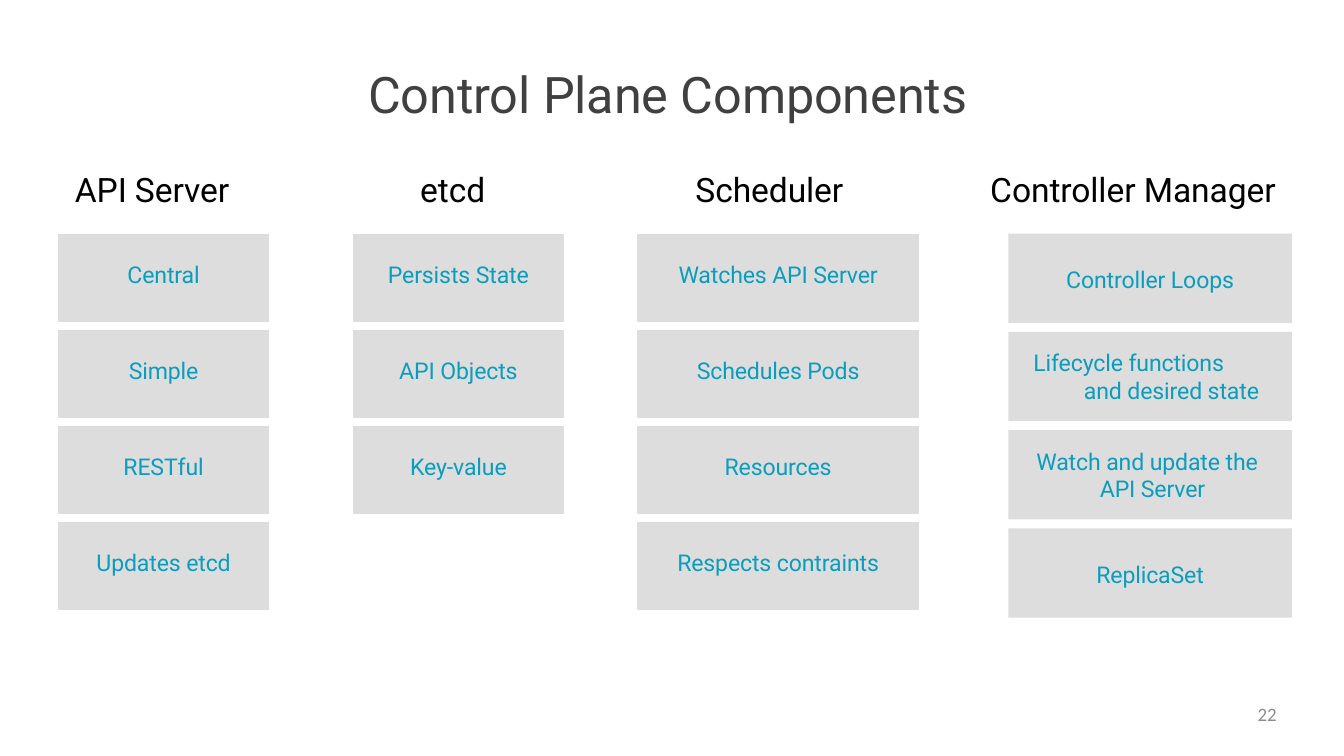
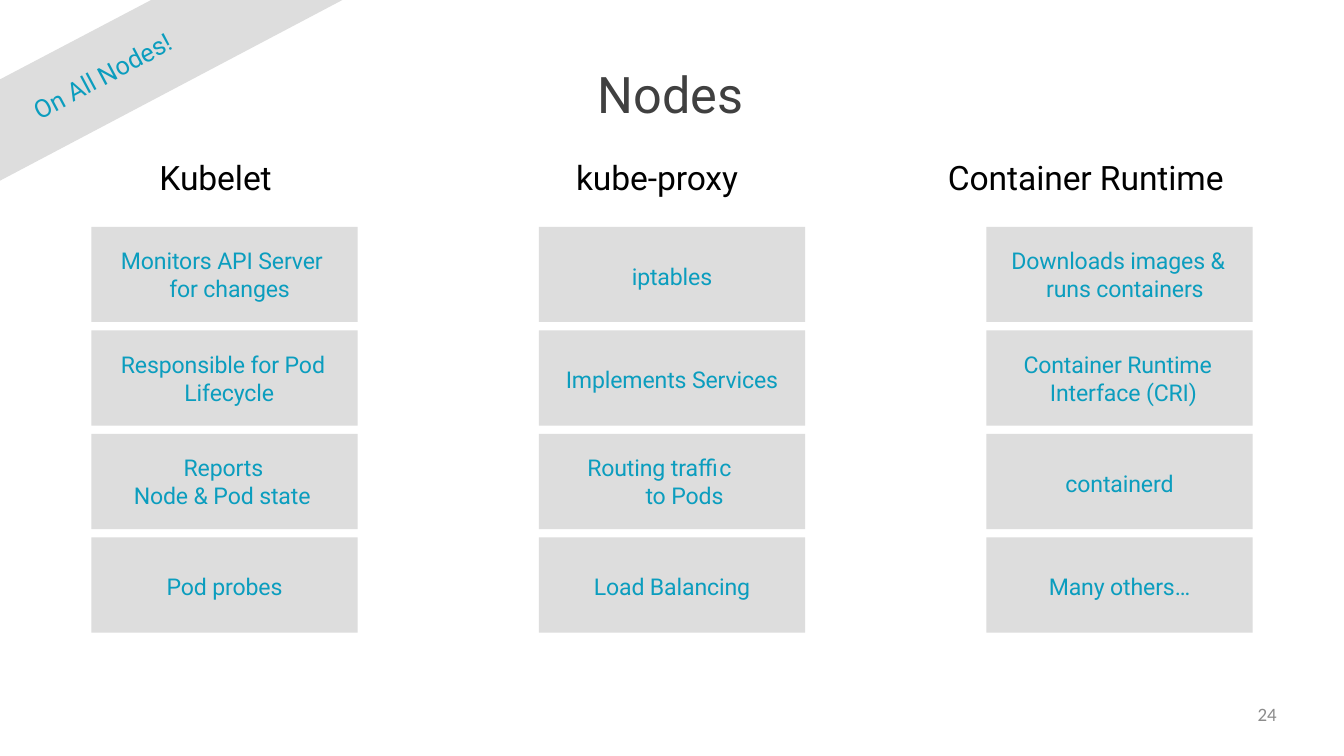
from pptx import Presentation
from pptx.dml.color import RGBColor
from pptx.enum.shapes import MSO_SHAPE
from pptx.enum.text import MSO_ANCHOR, MSO_AUTO_SIZE, PP_ALIGN
from pptx.oxml.xmlchemy import OxmlElement
from pptx.util import Inches, Pt

# Shared look
GRAY, TEAL, BLACK = "DDDDDD", "0B9DBE", "000000"
TITLE_COLOR, NUMBER_COLOR = "404040", "8C8C8C"
FONT, NUMBER_FONT = "Roboto", "Calibri"
CARD_SIZE = 22
TITLE_ONLY = 5


def color(hex_value):
    return RGBColor.from_string(hex_value)


def inches(*lengths):
    return [Inches(length) for length in lengths]


def add_run(para, text, size, hex_value, font=FONT, spacing=-10):
    span = para.add_run()
    span.text = text
    span.font.size = Pt(size)
    span.font.name = font
    span.font.color.rgb = color(hex_value)
    # Letter spacing, in hundredths of a point
    span.font._element.set("spc", str(spacing))


def prepare_frame(frame, anchor=MSO_ANCHOR.TOP, wrap=False, top=0.01):
    frame.auto_size = MSO_AUTO_SIZE.NONE
    frame.word_wrap = wrap
    frame.vertical_anchor = anchor
    frame.margin_left = frame.margin_right = frame.margin_bottom = 0
    frame.margin_top = Inches(top)
    return frame.paragraphs[0]


def add_title(page, text, left, width):
    title = page.shapes.title
    title.left, title.top, title.width, title.height = inches(left, 0.82, width, 0.83)
    para = prepare_frame(title.text_frame)
    para.alignment = PP_ALIGN.LEFT
    add_run(para, text, 48, TITLE_COLOR)


def add_heading(page, text, left, top, width):
    box = page.shapes.add_textbox(*inches(left, top, width, 0.56))
    add_run(prepare_frame(box.text_frame), text, 32, BLACK)


def add_page_number(page, number):
    box = page.shapes.add_textbox(*inches(12.8, 9.3, 4.09, 0.5))
    para = prepare_frame(box.text_frame, wrap=True, top=0)
    para.alignment = PP_ALIGN.RIGHT
    add_run(para, str(number), 18, NUMBER_COLOR, NUMBER_FONT, 0)


def set_indent(para, first, rest):
    """Start the first line and the following lines at their own offsets."""
    properties = para._p.get_or_add_pPr()
    properties.set("marL", str(Inches(rest)))
    properties.set("indent", str(Inches(first) - Inches(rest)))


def add_card(page, content, left, top, width, height):
    """Content is one centred line, or two lines followed by their offsets."""
    card = page.shapes.add_shape(MSO_SHAPE.RECTANGLE, *inches(left, top, width, height))
    card.shadow.inherit = False
    card.fill.solid()
    card.fill.fore_color.rgb = color(GRAY)
    card.line.fill.background()
    single = isinstance(content, str)
    para = prepare_frame(card.text_frame, MSO_ANCHOR.MIDDLE, True, 0.04 if single else 0)
    if single:
        para.alignment = PP_ALIGN.CENTER
        add_run(para, content, CARD_SIZE, TEAL)
    else:
        first_line, second_line, first, rest = content
        para.alignment = PP_ALIGN.LEFT
        set_indent(para, first, rest)
        add_run(para, first_line, CARD_SIZE, TEAL)
        para.add_line_break()
        add_run(para, second_line, CARD_SIZE, TEAL)


def add_card_column(page, contents, left, top, width, height, pitch):
    for index, content in enumerate(contents):
        add_card(page, content, left, top + index * pitch, width, height)


def fill_cell(cell, text):
    cell.margin_left = cell.margin_right = cell.margin_top = cell.margin_bottom = 0
    para = cell.text_frame.paragraphs[0]
    if text:
        cell.fill.solid()
        cell.fill.fore_color.rgb = color(GRAY)
        cell.vertical_anchor = MSO_ANCHOR.MIDDLE
        cell.margin_bottom = Inches(0.06)
        para.alignment = PP_ALIGN.CENTER
        add_run(para, text, CARD_SIZE, TEAL)
    else:
        # Small text size keeps the gap rows thin
        cell.fill.background()
        end = OxmlElement("a:endParaRPr")
        end.set("sz", "300")
        para._p.append(end)


def add_component_table(page, columns, left, top, column_widths, row_height, gap):
    """Odd rows and columns of the table are the gaps between the cells."""
    row_count = 2 * max(len(column) for column in columns) - 1
    heights = [gap if row % 2 else row_height for row in range(row_count)]
    frame = page.shapes.add_table(
        row_count, len(column_widths),
        *inches(left, top, sum(column_widths), sum(heights)))
    table = frame.table
    table.first_row = table.horz_banding = False
    for column, width in zip(table.columns, column_widths):
        column.width = Inches(width)
    for row, height in zip(table.rows, heights):
        row.height = Inches(height)
    for row in range(row_count):
        for column in range(len(column_widths)):
            text = ""
            if row % 2 == 0 and column % 2 == 0:
                items = columns[column // 2]
                text = items[row // 2] if row // 2 < len(items) else ""
            fill_cell(table.cell(row, column), text)


def add_corner_ribbon(page, text):
    points = [inches(*point) for point in ((4.53, 0), (2, 0), (0, 1.05), (0, 2.39))]
    builder = page.shapes.build_freeform(*points[0])
    builder.add_line_segments(points[1:], close=True)
    ribbon = builder.convert_to_shape()
    ribbon.shadow.inherit = False
    ribbon.fill.solid()
    ribbon.fill.fore_color.rgb = color(GRAY)
    ribbon.line.fill.background()
    label = page.shapes.add_textbox(*inches(0.25, 0.8, 2.2, 0.4))
    label.rotation = -28
    para = prepare_frame(label.text_frame, MSO_ANCHOR.MIDDLE, True, 0)
    para.alignment = PP_ALIGN.CENTER
    add_run(para, text, 24, TEAL, spacing=0)


def build_control_plane(page):
    add_title(page, "Control Plane Components", 4.87, 8.03)
    for text, left, width in (
        ("API Server", 0.99, 2.18),
        ("etcd", 5.56, 1),
        ("Scheduler", 9.2, 2.01),
        ("Controller Manager", 13.1, 3.82),
    ):
        add_heading(page, text, left, 2.23, width)
    add_component_table(page, [
        ["Central", "Simple", "RESTful", "Updates etcd"],
        ["Persists State", "API Objects", "Key-value"],
        ["Watches API Server", "Schedules Pods", "Resources", "Respects contraints"],
    ], 0.76, 3.09, [2.81, 1.09, 2.81, 0.95, 3.75], 1.18, 0.09)
    add_card_column(page, [
        "Controller Loops",
        ("Lifecycle functions", "and desired state", 0.33, 1),
        ("Watch and update the", "API Server", 0.37, 1.21),
        "ReplicaSet",
    ], 13.34, 3.09, 3.75, 1.18, 1.3)
    add_page_number(page, 22)


def build_nodes(page):
    add_title(page, "Nodes", 7.91, 1.95)
    for text, left, width in (
        ("Kubelet", 2.11, 1.53),
        ("kube-proxy", 7.62, 2.22),
        ("Container Runtime", 12.54, 3.73),
    ):
        add_heading(page, text, left, 2.07, width)
    add_corner_ribbon(page, "On All Nodes!")
    columns = [
        [
            ("Monitors API Server", "for changes", 0.39, 1.03),
            ("Responsible for Pod", "Lifecycle", 0.39, 1.23),
            ("Reports", "Node & Pod state", 1.22, 0.56),
            "Pod probes",
        ],
        [
            "iptables",
            "Implements Services",
            ("Routing traffic", "to Pods", 0.64, 1.41),
            "Load Balancing",
        ],
        [
            ("Downloads images &", "runs containers", 0.33, 0.79),
            ("Container Runtime", "Interface (CRI)", 0.49, 0.84),
            "containerd",
            "Many others…",
        ],
    ]
    for index, contents in enumerate(columns):
        add_card_column(page, contents, 1.21 + index * 5.92, 3, 3.52, 1.26, 1.37)
    add_page_number(page, 24)


def main():
    deck = Presentation()
    deck.slide_width, deck.slide_height = inches(17.78, 10)
    for build in (build_control_plane, build_nodes):
        build(deck.slides.add_slide(deck.slide_layouts[TITLE_ONLY]))
    deck.save("out.pptx")


if __name__ == "__main__":
    main()
